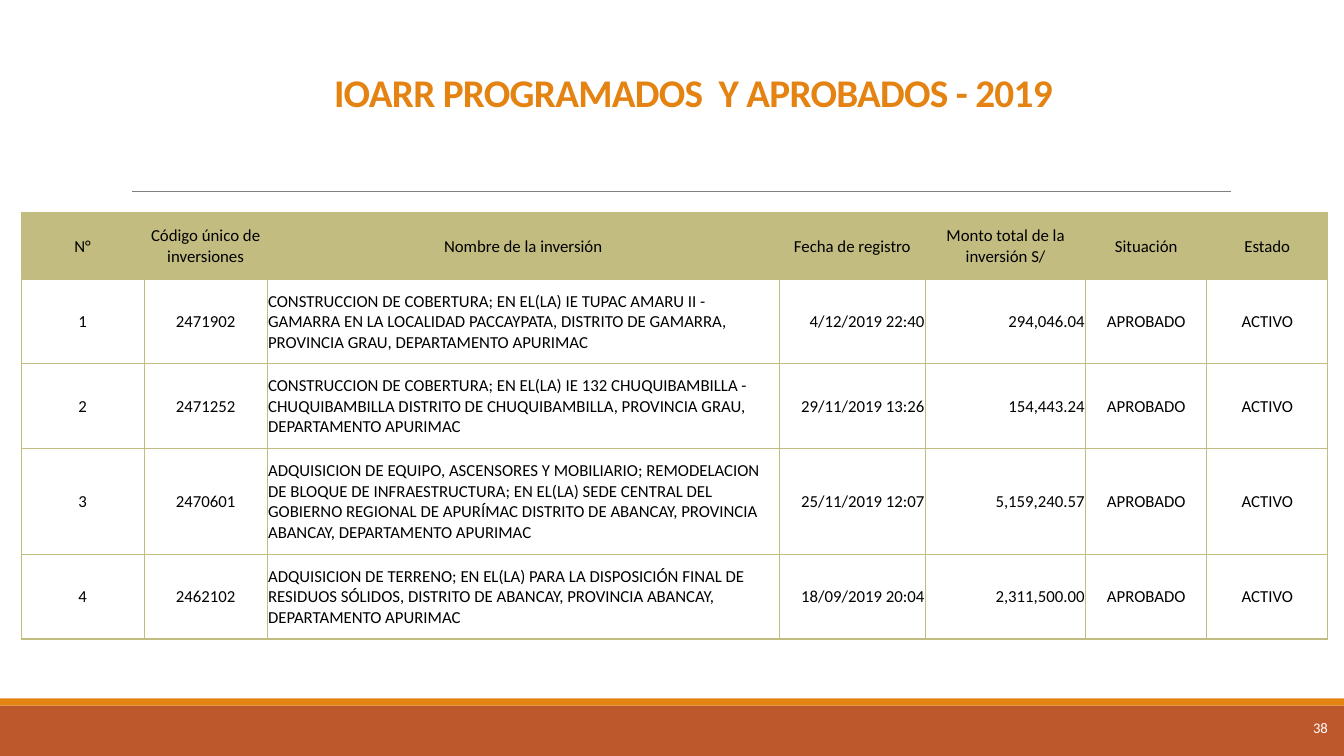
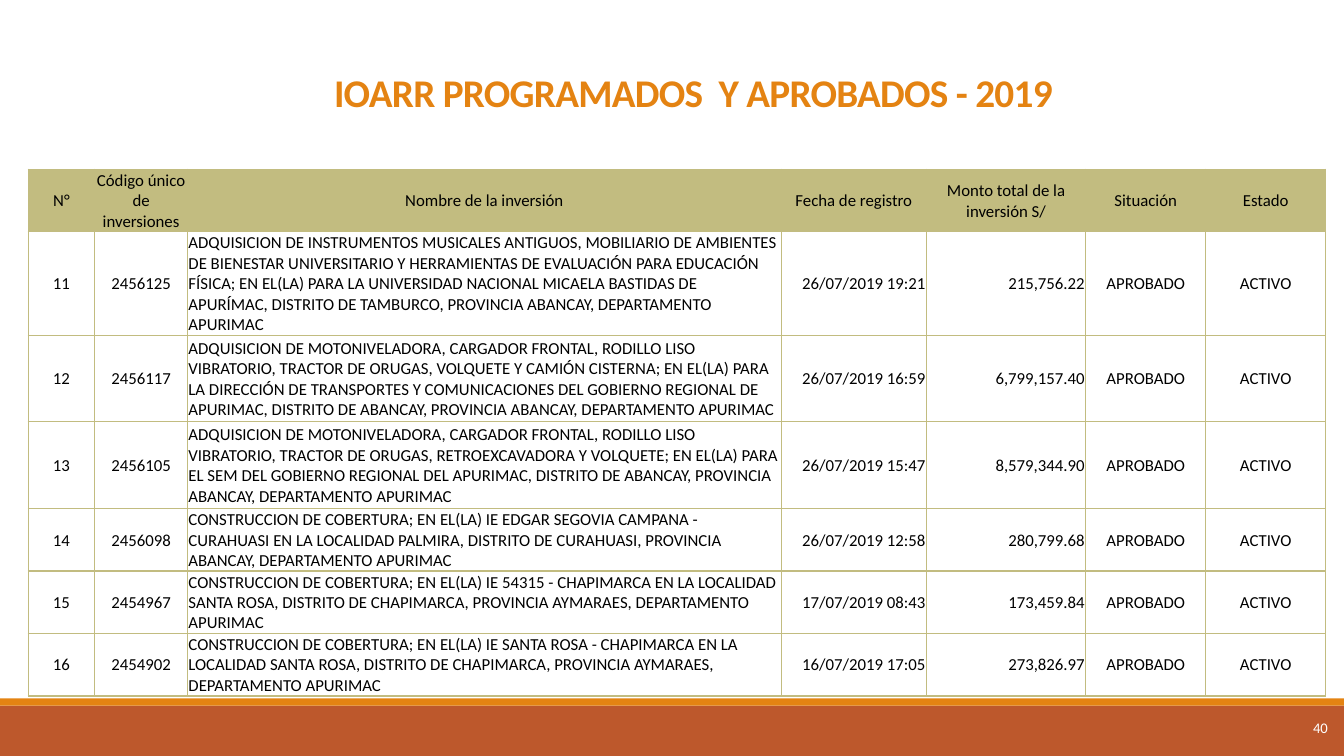
from lxml import etree
from pptx import Presentation
from pptx import util as u
from pptx.dml.color import RGBColor
from pptx.enum import shapes, text
from pptx.oxml import ns

COLORS = {
    "rust": "BD582C",
    "orange": "E48312",
    "olive": "C2BC80",
    "gray": "808080",
    "black": "000000",
    "white": "FFFFFF",
}
FONT = "Calibri"
TITLE = "IOARR PROGRAMADOS  Y APROBADOS - 2019"
LEFT, CENTER, RIGHT = text.PP_ALIGN.LEFT, text.PP_ALIGN.CENTER, text.PP_ALIGN.RIGHT

HEADERS = ["N°", "Código único de inversiones", "Nombre de la inversión",
           "Fecha de registro", "Monto total de la inversión S/",
           "Situación", "Estado"]
COLUMN_ALIGNMENT = [CENTER, CENTER, LEFT, RIGHT, RIGHT, CENTER, CENTER]
STATUS = ["APROBADO", "ACTIVO"]  # the same for every investment

# Each investment: number, code, name, registration date, amount
SLIDES = [
    {
        "page": 38,
        "position": (0.21, 2.11),
        "columns": [1.22, 1.22, 5.08, 1.45, 1.59, 1.2, 1.2],
        "rows": [0.66, 0.84, 0.84, 1.05, 0.84],
        "investments": [
            ["1", "2471902",
             "CONSTRUCCION DE COBERTURA; EN EL(LA) IE TUPAC AMARU II - GAMARRA EN LA "
             "LOCALIDAD PACCAYPATA, DISTRITO DE GAMARRA, PROVINCIA GRAU, "
             "DEPARTAMENTO APURIMAC",
             "4/12/2019 22:40", "294,046.04"],
            ["2", "2471252",
             "CONSTRUCCION DE COBERTURA; EN EL(LA) IE 132 CHUQUIBAMBILLA - "
             "CHUQUIBAMBILLA DISTRITO DE CHUQUIBAMBILLA, PROVINCIA GRAU, "
             "DEPARTAMENTO APURIMAC",
             "29/11/2019 13:26", "154,443.24"],
            ["3", "2470601",
             "ADQUISICION DE EQUIPO, ASCENSORES Y MOBILIARIO; REMODELACION DE BLOQUE "
             "DE INFRAESTRUCTURA; EN EL(LA) SEDE CENTRAL DEL GOBIERNO REGIONAL DE "
             "APURÍMAC DISTRITO DE ABANCAY, PROVINCIA ABANCAY, DEPARTAMENTO APURIMAC",
             "25/11/2019 12:07", "5,159,240.57"],
            ["4", "2462102",
             "ADQUISICION DE TERRENO; EN EL(LA) PARA LA DISPOSICIÓN FINAL DE RESIDUOS "
             "SÓLIDOS, DISTRITO DE ABANCAY, PROVINCIA ABANCAY, DEPARTAMENTO APURIMAC",
             "18/09/2019 20:04", "2,311,500.00"],
        ],
    },
    {
        "page": 40,
        "position": (0.28, 1.68),
        "columns": [0.66, 0.92, 5.89, 1.44, 1.58, 1.19, 1.19],
        "rows": [0.35, 0.86, 0.86, 0.86, 0.52, 0.52, 0.52],
        "investments": [
            ["11", "2456125",
             "ADQUISICION DE INSTRUMENTOS MUSICALES ANTIGUOS, MOBILIARIO DE AMBIENTES "
             "DE BIENESTAR UNIVERSITARIO Y HERRAMIENTAS DE EVALUACIÓN PARA EDUCACIÓN "
             "FÍSICA; EN EL(LA) PARA LA UNIVERSIDAD NACIONAL MICAELA BASTIDAS DE "
             "APURÍMAC, DISTRITO DE TAMBURCO, PROVINCIA ABANCAY, DEPARTAMENTO APURIMAC",
             "26/07/2019 19:21", "215,756.22"],
            ["12", "2456117",
             "ADQUISICION DE MOTONIVELADORA, CARGADOR FRONTAL, RODILLO LISO VIBRATORIO, "
             "TRACTOR DE ORUGAS, VOLQUETE Y CAMIÓN CISTERNA; EN EL(LA) PARA LA DIRECCIÓN "
             "DE TRANSPORTES Y COMUNICACIONES DEL GOBIERNO REGIONAL DE APURIMAC, DISTRITO "
             "DE ABANCAY, PROVINCIA ABANCAY, DEPARTAMENTO APURIMAC",
             "26/07/2019 16:59", "6,799,157.40"],
            ["13", "2456105",
             "ADQUISICION DE MOTONIVELADORA, CARGADOR FRONTAL, RODILLO LISO VIBRATORIO, "
             "TRACTOR DE ORUGAS, RETROEXCAVADORA Y VOLQUETE; EN EL(LA) PARA EL SEM DEL "
             "GOBIERNO REGIONAL DEL APURIMAC, DISTRITO DE ABANCAY, PROVINCIA ABANCAY, "
             "DEPARTAMENTO APURIMAC",
             "26/07/2019 15:47", "8,579,344.90"],
            ["14", "2456098",
             "CONSTRUCCION DE COBERTURA; EN EL(LA) IE EDGAR SEGOVIA CAMPANA - CURAHUASI "
             "EN LA LOCALIDAD PALMIRA, DISTRITO DE CURAHUASI, PROVINCIA ABANCAY, "
             "DEPARTAMENTO APURIMAC",
             "26/07/2019 12:58", "280,799.68"],
            ["15", "2454967",
             "CONSTRUCCION DE COBERTURA; EN EL(LA) IE 54315 - CHAPIMARCA EN LA LOCALIDAD "
             "SANTA ROSA, DISTRITO DE CHAPIMARCA, PROVINCIA AYMARAES, "
             "DEPARTAMENTO APURIMAC",
             "17/07/2019 08:43", "173,459.84"],
            ["16", "2454902",
             "CONSTRUCCION DE COBERTURA; EN EL(LA) IE SANTA ROSA - CHAPIMARCA EN LA "
             "LOCALIDAD SANTA ROSA, DISTRITO DE CHAPIMARCA, PROVINCIA AYMARAES, "
             "DEPARTAMENTO APURIMAC",
             "16/07/2019 17:05", "273,826.97"],
        ],
    },
]


def rgb(name):
    return RGBColor.from_string(COLORS[name])


def write_text(frame, content, size=12, color="black", align=LEFT, bold=False, spacing=None):
    """Fill a text frame with one formatted paragraph; spacing is in points."""
    paragraph = frame.paragraphs[0]
    paragraph.alignment = align
    run = paragraph.add_run()
    run.text = content
    font = run.font
    font.name, font.size, font.bold = FONT, u.Pt(size), bold
    font.color.rgb = rgb(color)
    if spacing is not None:
        run._r.get_or_add_rPr().set("spc", str(round(spacing * 100)))


def format_frame(frame, anchor):
    frame.word_wrap = True
    frame.auto_size = text.MSO_AUTO_SIZE.NONE
    frame.vertical_anchor = anchor
    frame.margin_left = frame.margin_right = frame.margin_top = frame.margin_bottom = 0


def add_band(slide, top, height, color):
    band = slide.shapes.add_shape(shapes.MSO_SHAPE.RECTANGLE, 0, u.Inches(top),
                                  u.Inches(13.33), u.Inches(height))
    band.shadow.inherit = False
    band.fill.solid()
    band.fill.fore_color.rgb = rgb(color)
    band.line.fill.background()


def add_rule(slide, left, right, top):
    rule = slide.shapes.add_connector(shapes.MSO_CONNECTOR.STRAIGHT, u.Inches(left),
                                      u.Inches(top), u.Inches(right), u.Inches(top))
    rule.line.color.rgb = rgb("gray")
    rule.line.width = u.Pt(0.5)
    etree.SubElement(rule._element.spPr, ns.qn("a:effectLst"))


def add_frame(slide, page):
    """Draw what the slides share: bands, rule, title and page number."""
    add_band(slide, 7, 0.5, "rust")
    add_band(slide, 6.93, 0.07, "orange")
    add_rule(slide, 1.31, 12.21, 1.9)

    title = slide.shapes.title
    title.left, title.top = u.Inches(1.1), u.Inches(0.57)
    title.width, title.height = u.Inches(11.55), u.Inches(0.57)
    format_frame(title.text_frame, text.MSO_ANCHOR.BOTTOM)
    write_text(title.text_frame, TITLE, size=28, color="orange", align=CENTER,
               bold=True, spacing=-0.5)

    number = slide.shapes.add_textbox(u.Inches(12.37), u.Inches(6.93),
                                      u.Inches(0.8), u.Inches(0.57))
    format_frame(number.text_frame, text.MSO_ANCHOR.MIDDLE)
    write_text(number.text_frame, str(page), size=10.5, color="white", align=RIGHT)


def add_borders(cell, color, width):
    properties = cell._tc.get_or_add_tcPr()
    for side in ("lnL", "lnR", "lnT", "lnB"):
        line = etree.SubElement(properties, ns.qn(f"a:{side}"), w=str(u.Pt(width)))
        fill = etree.SubElement(line, ns.qn("a:solidFill"))
        etree.SubElement(fill, ns.qn("a:srgbClr"), val=COLORS[color])


def fill_cell(cell, content, align, is_header):
    cell.vertical_anchor = text.MSO_ANCHOR.MIDDLE
    cell.margin_left = cell.margin_right = cell.margin_top = u.Inches(0.01)
    cell.margin_bottom = 0
    add_borders(cell, "olive", 1)
    if is_header:
        cell.fill.solid()
        cell.fill.fore_color.rgb = rgb("olive")
    else:
        cell.fill.background()
    write_text(cell.text_frame, content, align=align)


def add_investment_table(slide, position, columns, rows, investments):
    left, top = position
    table = slide.shapes.add_table(len(rows), len(columns), u.Inches(left), u.Inches(top),
                                   u.Inches(sum(columns)), u.Inches(sum(rows))).table
    table.first_row = table.horz_banding = False
    for column, width in zip(table.columns, columns):
        column.width = u.Inches(width)
    for row, height in zip(table.rows, rows):
        row.height = u.Inches(height)

    records = [HEADERS] + [investment + STATUS for investment in investments]
    for row_index, record in enumerate(records):
        is_header = row_index == 0
        for column_index, content in enumerate(record):
            align = CENTER if is_header else COLUMN_ALIGNMENT[column_index]
            fill_cell(table.cell(row_index, column_index), content, align, is_header)


def main():
    presentation = Presentation()
    presentation.slide_width, presentation.slide_height = u.Inches(13.33), u.Inches(7.5)
    title_only = presentation.slide_layouts[5]
    for content in SLIDES:
        slide = presentation.slides.add_slide(title_only)
        add_frame(slide, content["page"])
        add_investment_table(slide, content["position"], content["columns"],
                             content["rows"], content["investments"])
    presentation.save("out.pptx")


if __name__ == "__main__":
    main()
